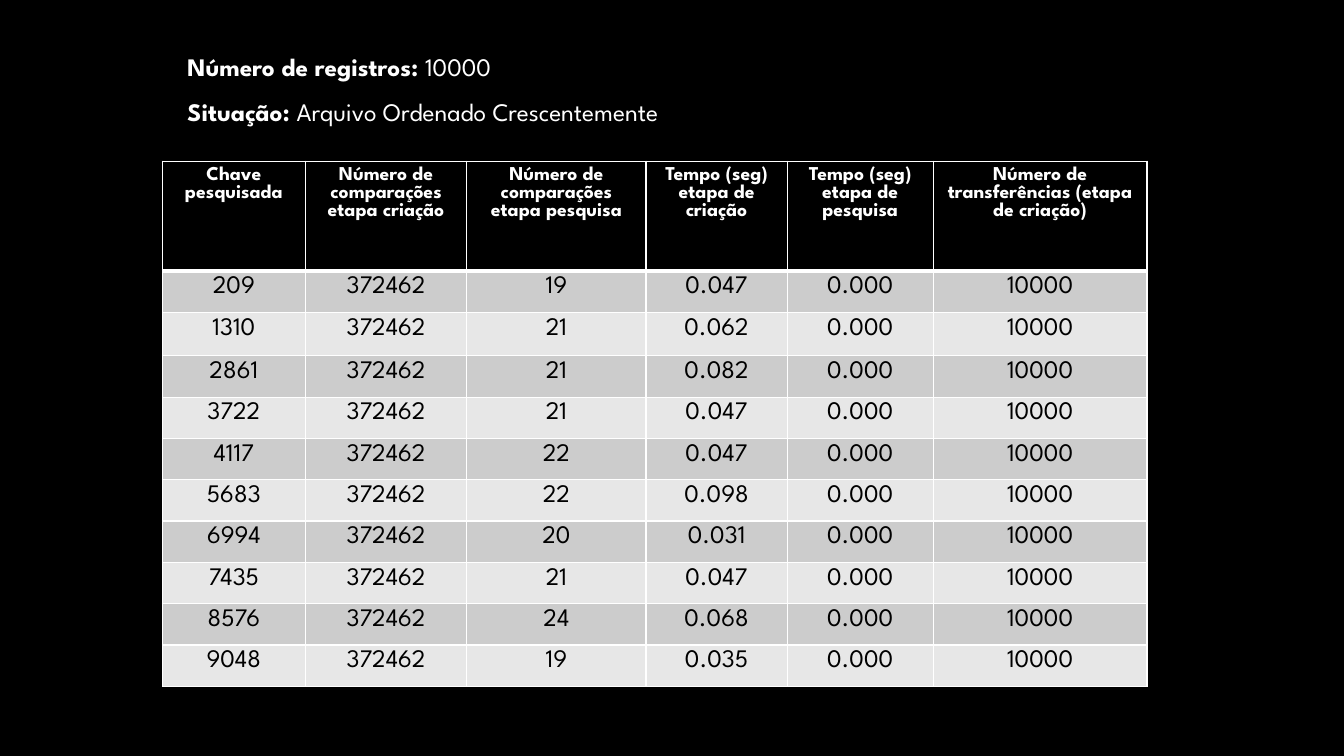
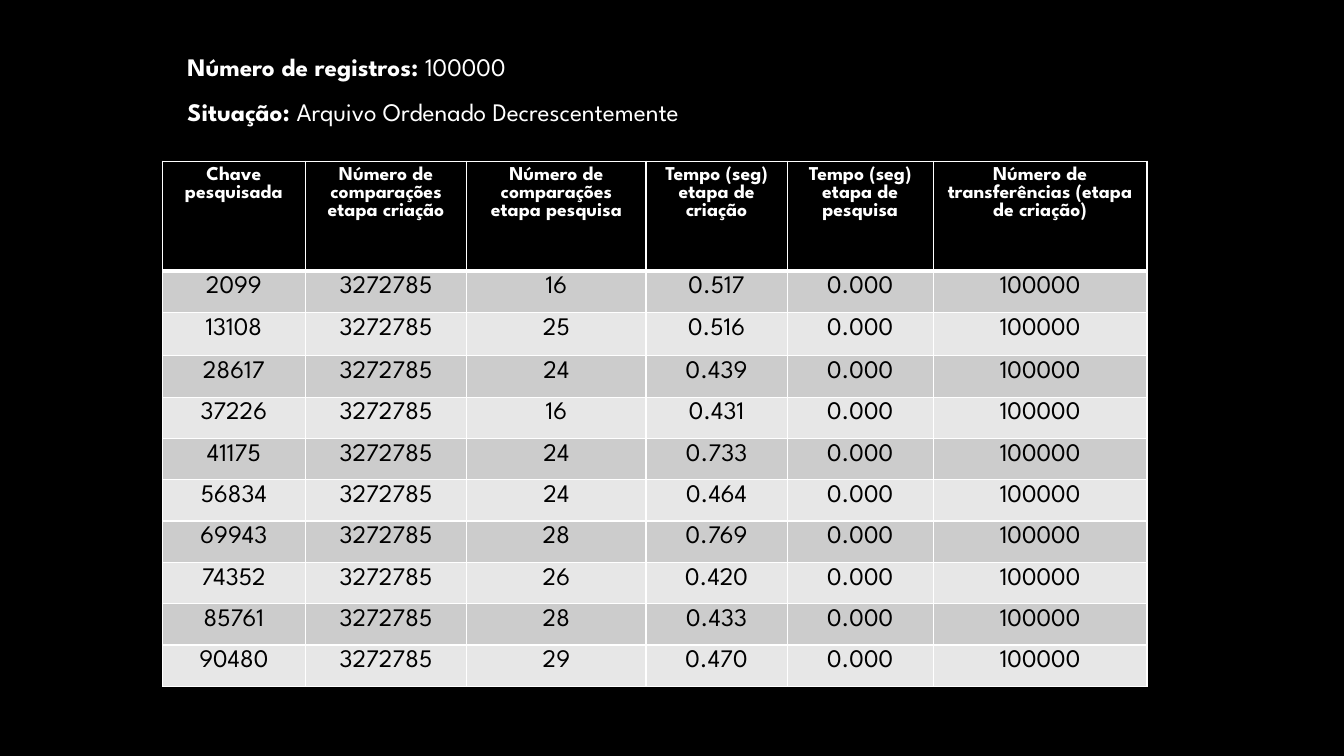
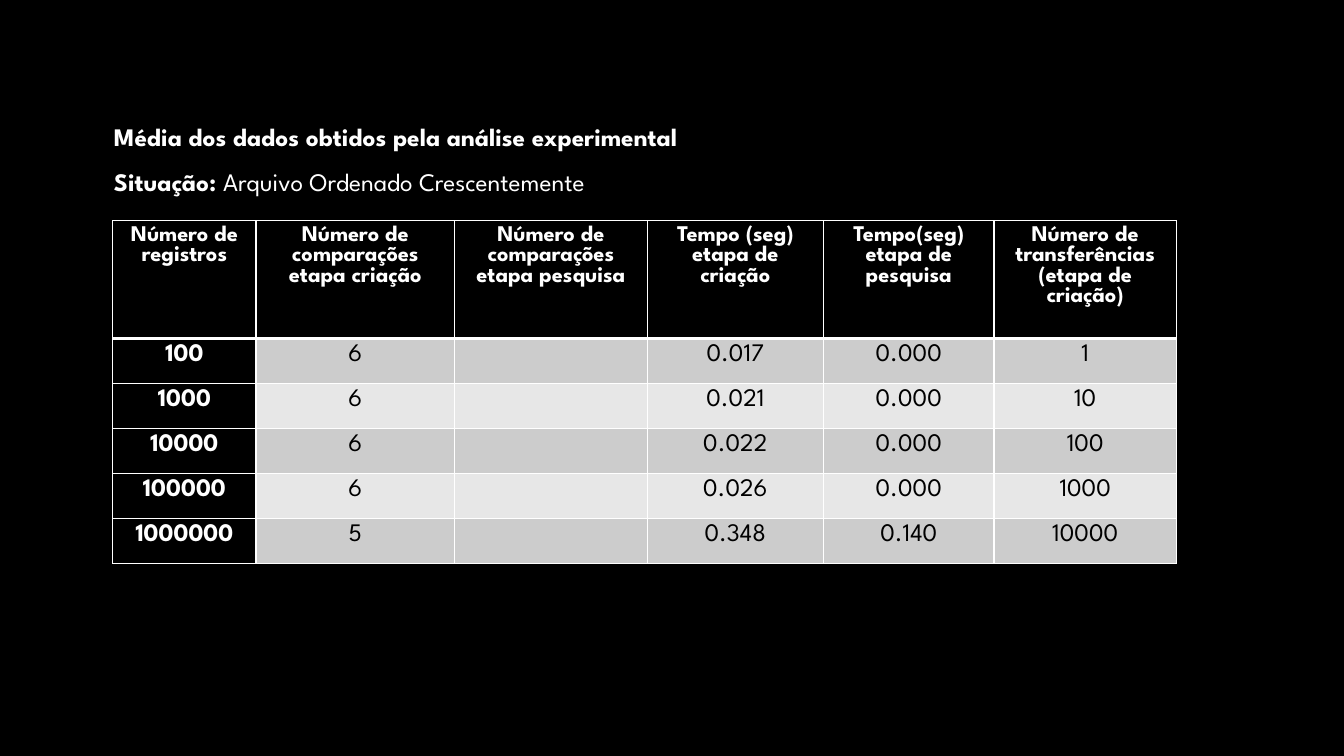
"""Builds three slides of search and creation measurements as tables."""
from lxml import etree
from pptx import Presentation
from pptx.dml.color import RGBColor
from pptx.enum.text import MSO_ANCHOR, MSO_AUTO_SIZE, PP_ALIGN
from pptx.oxml.ns import qn
from pptx.util import Inches, Pt

BLACK = RGBColor(0x00, 0x00, 0x00)
WHITE = RGBColor(0xFF, 0xFF, 0xFF)
DARK = RGBColor(0xCC, 0xCC, 0xCC)
LIGHT = RGBColor(0xE7, 0xE7, 0xE7)
LEFT, CENTER = PP_ALIGN.LEFT, PP_ALIGN.CENTER
TOP = MSO_ANCHOR.TOP
GROW = MSO_AUTO_SIZE.SHAPE_TO_FIT_TEXT
FONT = "League Spartan"
TITLE_ONLY = 5


class Deck:
    """Holds the style and the current slide; lengths are percents of the slide."""

    def __init__(self):
        self.prs = Presentation()
        self.prs.slide_width = Inches(13.33)
        self.prs.slide_height = Inches(7.5)
        fill = self.prs.slide_master.background.fill
        fill.solid()
        fill.fore_color.rgb = BLACK
        self.slide = None

    def across(self, share):
        return round(self.prs.slide_width * share / 100)

    def down(self, share):
        return round(self.prs.slide_height * share / 100)

    def place(self, x, y, w, h):
        return self.across(x), self.down(y), self.across(w), self.down(h)

    def add(self):
        layout = self.prs.slide_layouts[TITLE_ONLY]
        self.slide = self.prs.slides.add_slide(layout)

    def style(self, font, size, color, bold=None):
        font.name = FONT
        font.size = Pt(size)
        font.color.rgb = color
        font.bold = bold

    def title(self, area, lines):
        box = self.slide.shapes.title
        box.left, box.top, box.width, box.height = self.place(*area)
        frame = box.text_frame
        frame.word_wrap = False
        frame.auto_size = GROW
        frame.vertical_anchor = TOP
        for i, (label, value) in enumerate(lines):
            para = frame.add_paragraph() if i else frame.paragraphs[0]
            para.alignment = LEFT
            para.line_spacing = 1.5
            self.style(para.font, 18, WHITE)
            for text, bold in ((label, True), (value, False)):
                if text:
                    run = para.add_run()
                    run.text = text
                    run.font.bold = bold

    def edges(self, cell, top, bottom):
        props = cell._tc.get_or_add_tcPr()
        sides = (("lnL", 1), ("lnR", 1), ("lnT", top), ("lnB", bottom))
        for i, (side, width) in enumerate(sides):
            line = etree.Element(qn("a:" + side), w=str(Pt(width)))
            fill = etree.SubElement(line, qn("a:solidFill"))
            etree.SubElement(fill, qn("a:srgbClr"), val=str(WHITE))
            props.insert(i, line)

    def cell(self, cell, text, size, color, back, bold):
        cell.fill.solid()
        cell.fill.fore_color.rgb = back
        cell.text = text
        para = cell.text_frame.paragraphs[0]
        para.alignment = CENTER
        self.style(para.font, size, color, bold)

    def table(self, area, cols, rows, data, size, side=False):
        x, y, w, h = self.place(*area)
        frame = self.slide.shapes.add_table(len(rows), len(cols), x, y, w, h)
        grid = frame.table
        grid.first_col = side
        for col, part in zip(grid.columns, cols):
            col.width = round(w * part / sum(cols))
        for row, part in zip(grid.rows, rows):
            row.height = round(h * part / sum(rows))
        for r, texts in enumerate(data):
            for c, text in enumerate(texts):
                cell = grid.cell(r, c)
                head = r == 0
                bold = head or (side and c == 0)
                band = DARK if r % 2 else LIGHT
                self.cell(cell, text, size if head else 18,
                          WHITE if bold else BLACK,
                          BLACK if bold else band, bold)
                self.edges(cell, 3 if r == 1 else 1, 3 if head else 1)


HEADS = ["Número de comparações etapa criação",
         "Número de comparações etapa pesquisa",
         "Tempo (seg) etapa de criação",
         "Tempo (seg) etapa de pesquisa",
         "Número de transferências (etapa de criação)"]

RUNS = [
    ("10000", "Arquivo Ordenado Crescentemente", 43.95, "372462",
     [("209", "19", "0.047"), ("1310", "21", "0.062"),
      ("2861", "21", "0.082"), ("3722", "21", "0.047"),
      ("4117", "22", "0.047"), ("5683", "22", "0.098"),
      ("6994", "20", "0.031"), ("7435", "21", "0.047"),
      ("8576", "24", "0.068"), ("9048", "19", "0.035")]),
    ("100000", "Arquivo Ordenado Decrescentemente", 46.73, "3272785",
     [("2099", "16", "0.517"), ("13108", "25", "0.516"),
      ("28617", "24", "0.439"), ("37226", "16", "0.431"),
      ("41175", "24", "0.733"), ("56834", "24", "0.464"),
      ("69943", "28", "0.769"), ("74352", "26", "0.420"),
      ("85761", "28", "0.433"), ("90480", "29", "0.470")]),
]

MEANS = [("100", "6", "", "0.017", "0.000", "1"),
         ("1000", "6", "", "0.021", "0.000", "10"),
         ("10000", "6", "", "0.022", "0.000", "100"),
         ("100000", "6", "", "0.026", "0.000", "1000"),
         ("1000000", "5", "", "0.348", "0.140", "10000")]


def main():
    deck = Deck()
    for count, order, width, total, tests in RUNS:
        deck.add()
        deck.title((13.2, 4.13, width, 13.47),
                   [("Número de registros: ", count), ("Situação: ", order)])
        data = [["Chave pesquisada"] + HEADS]
        data += [[key, total, found, time, "0.000", count]
                 for key, found, time in tests]
        deck.table((12.08, 21.33, 73.27, 69.47),
                   [1.42, 1.6, 1.78, 1.4, 1.45, 2.12],
                   [2.66, 1, 1.05] + [1] * 8, data, 14)

    deck.add()
    deck.title((7.73, 13.33, 49.36, 13.47),
               [("Média dos dados obtidos pela análise experimental", ""),
                ("Situação: ", "Arquivo Ordenado Crescentemente")])
    heads = [text.replace("Tempo (seg) etapa de pesquisa",
                          "Tempo(seg) etapa de pesquisa") for text in HEADS]
    deck.table((8.4, 29.2, 79.14, 45.33),
               [1.42, 1.97, 1.91, 1.75, 1.69, 1.81],
               [2.62] + [1] * 5,
               [["Número de registros"] + heads] + MEANS, 16, side=True)
    deck.prs.save("out.pptx")


if __name__ == "__main__":
    main()
